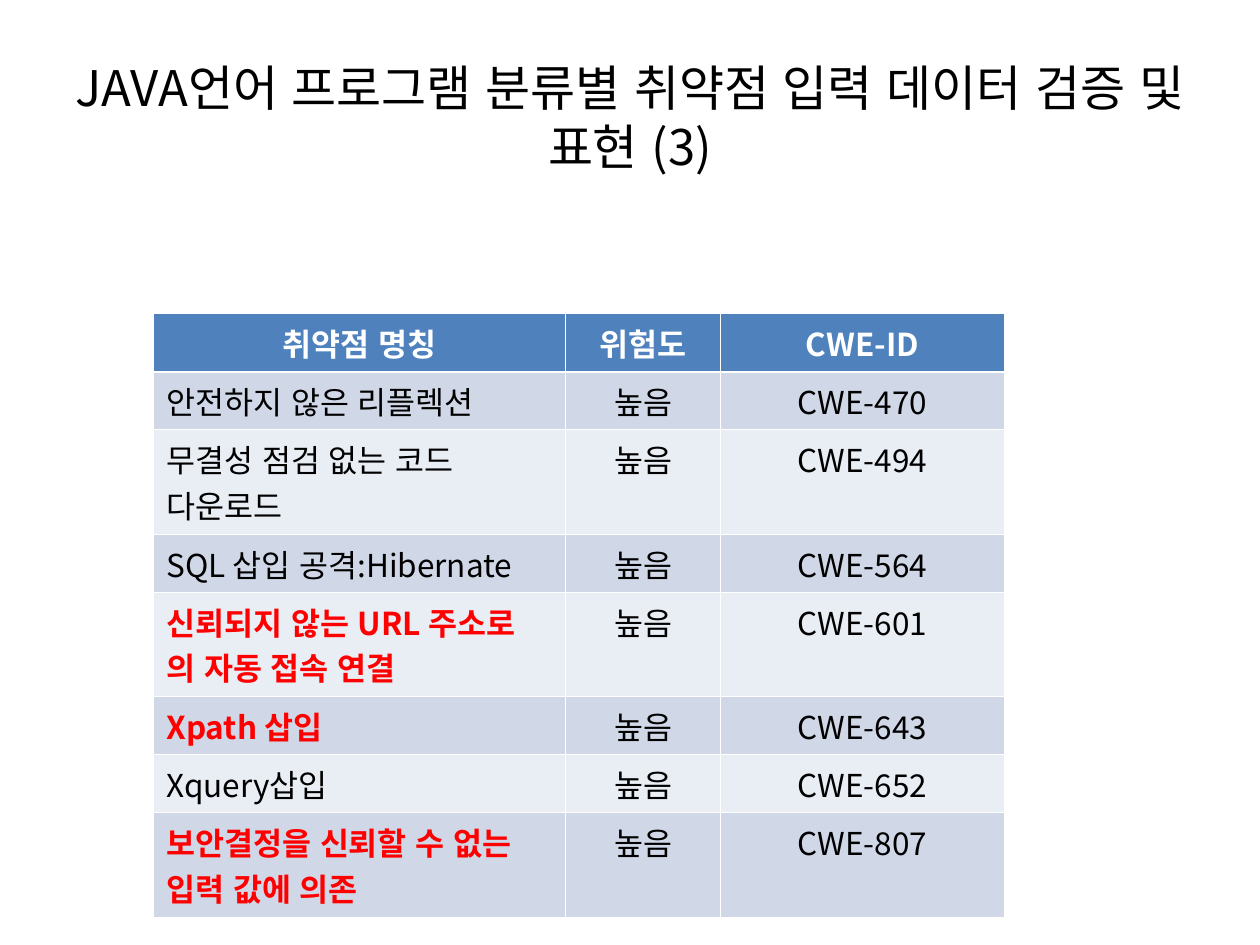
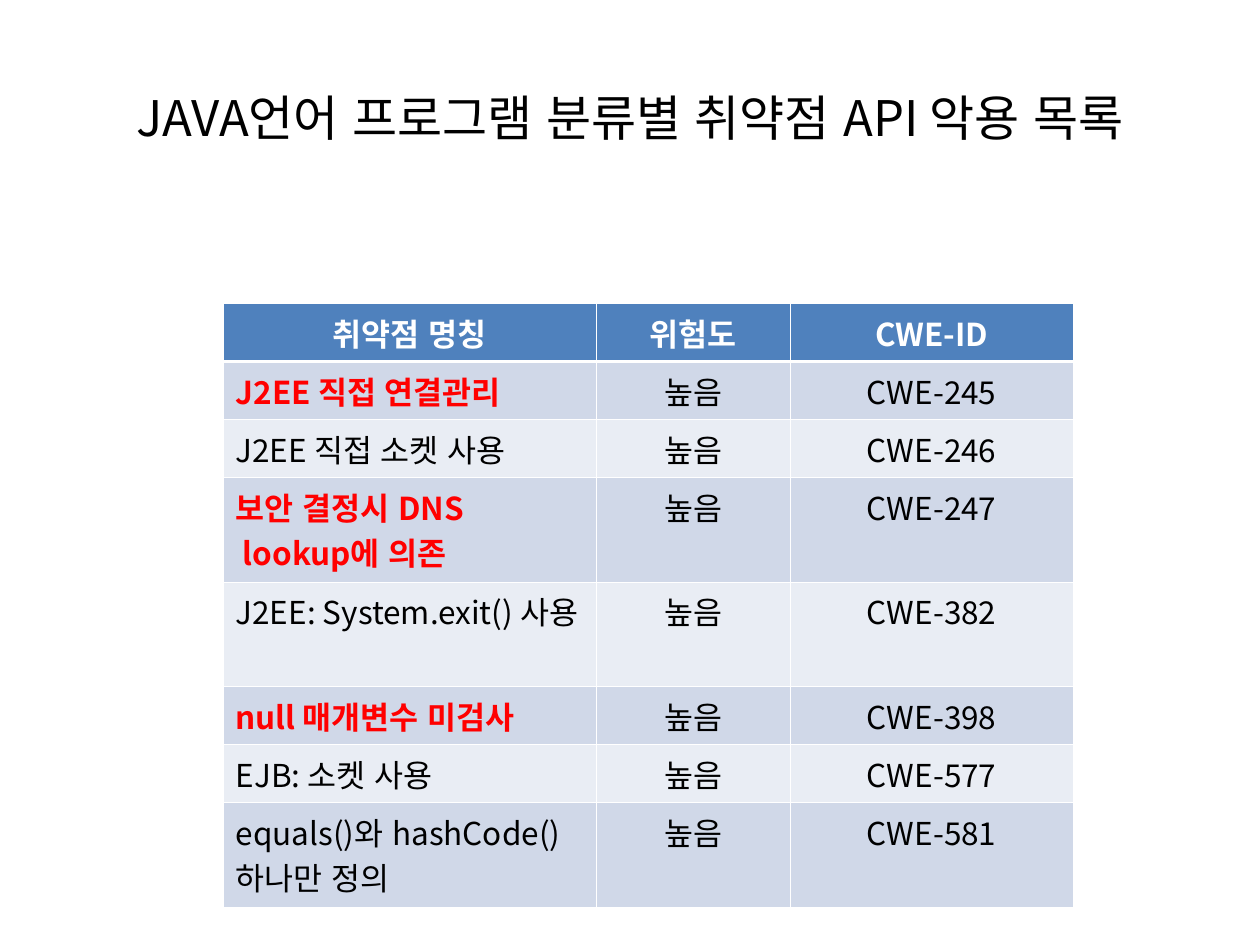
from lxml.etree import SubElement
from pptx import Presentation
from pptx.dml.color import RGBColor
from pptx.enum.lang import MSO_LANGUAGE_ID
from pptx.enum.text import MSO_ANCHOR, PP_ALIGN
from pptx.oxml.ns import qn
from pptx.util import Inches, Pt

# Shared style
FONT = "Noto Sans CJK KR"
BLACK = RGBColor(0x00, 0x00, 0x00)
WHITE = RGBColor(0xFF, 0xFF, 0xFF)
RED = RGBColor(0xFF, 0x00, 0x00)
HEADER_BLUE = RGBColor(0x4F, 0x81, 0xBD)
BAND_DARK = RGBColor(0xD0, 0xD8, 0xE8)
BAND_LIGHT = RGBColor(0xE9, 0xED, 0xF4)
THIN, THICK = Pt(0.45), Pt(1.47)
ONE_LINE, TWO_LINES = 0.46, 0.83
HEADERS = ("취약점 명칭", "위험도", "CWE-ID")
RISK = "높음"

# Each weakness: name, CWE number, row height, whether it is highlighted
PAGES = [
    {
        "title": "JAVA언어 프로그램 분류별 취약점 입력 데이터 검증 및 표현 (3)",
        "left": 1.22, "top": 2.49, "columns": (3.27, 1.23, 2.25),
        "weaknesses": [
            ("안전하지 않은 리플렉션", 470, ONE_LINE, False),
            ("무결성 점검 없는 코드\n다운로드", 494, TWO_LINES, False),
            ("SQL 삽입 공격:Hibernate", 564, ONE_LINE, False),
            ("신뢰되지 않는 URL 주소로\n의 자동 접속 연결", 601, TWO_LINES, True),
            ("Xpath 삽입", 643, ONE_LINE, True),
            ("Xquery삽입", 652, ONE_LINE, False),
            ("보안결정을 신뢰할 수 없는\n입력 값에 의존", 807, TWO_LINES, True),
        ],
    },
    {
        "title": "JAVA언어 프로그램 분류별 취약점 API 악용 목록",
        "left": 1.77, "top": 2.41, "columns": (2.96, 1.54, 2.25),
        "weaknesses": [
            ("J2EE 직접 연결관리", 245, ONE_LINE, True),
            ("J2EE 직접 소켓 사용", 246, ONE_LINE, False),
            ("보안 결정시 DNS\n lookup에 의존", 247, TWO_LINES, True),
            ("J2EE: System.exit() 사용", 382, TWO_LINES, False),
            ("null 매개변수 미검사", 398, ONE_LINE, True),
            ("EJB: 소켓 사용", 577, ONE_LINE, False),
            ("equals()와 hashCode()\n하나만 정의", 581, TWO_LINES, False),
        ],
    },
]


def write(frame, text, size, color, bold=False, align=PP_ALIGN.CENTER):
    frame.text = text
    for para in frame.paragraphs:
        para.alignment = align
        for span in para.runs:
            span.font.name = FONT
            span.font.size = Pt(size)
            span.font.bold = bold
            span.font.color.rgb = color
            span.font.language_id = MSO_LANGUAGE_ID.KOREAN
            SubElement(span.font._element, qn("a:ea"), typeface=FONT)


def draw_borders(cell, top, bottom):
    properties = cell._tc.get_or_add_tcPr()
    for side, width in (("L", THIN), ("R", THIN), ("T", top), ("B", bottom)):
        line = SubElement(properties, qn(f"a:ln{side}"), w=str(int(width)))
        fill = SubElement(line, qn("a:solidFill"))
        SubElement(fill, qn("a:srgbClr"), val=str(WHITE))


deck = Presentation()
deck.slide_width, deck.slide_height = Inches(10), Inches(7.5)

for content in PAGES:
    page = deck.slides.add_slide(deck.slide_layouts[6])

    # Title
    box = page.shapes.add_textbox(Inches(0.5), Inches(0.3), Inches(9), Inches(1.25))
    box.text_frame.word_wrap = True
    box.text_frame.vertical_anchor = MSO_ANCHOR.MIDDLE
    write(box.text_frame, content["title"], 28, BLACK)

    # Table grid
    weaknesses = content["weaknesses"]
    heights = [ONE_LINE] + [height for _, _, height, _ in weaknesses]
    table = page.shapes.add_table(
        len(heights), len(HEADERS), Inches(content["left"]), Inches(content["top"]),
        Inches(sum(content["columns"])), Inches(sum(heights))).table
    for column, width in zip(table.columns, content["columns"]):
        column.width = Inches(width)
    for row, height in zip(table.rows, heights):
        row.height = Inches(height)

    # Header row
    for cell, label in zip(table.rows[0].cells, HEADERS):
        write(cell.text_frame, label, 18, WHITE, bold=True)
        draw_borders(cell, THIN, THICK)
        cell.fill.solid()
        cell.fill.fore_color.rgb = HEADER_BLUE

    # Weakness rows in alternating bands
    for number, (name, cwe, _, highlighted) in enumerate(weaknesses, 1):
        name_cell, risk_cell, cwe_cell = table.rows[number].cells
        write(name_cell.text_frame, name, 18, RED if highlighted else BLACK,
              highlighted, PP_ALIGN.LEFT)
        write(risk_cell.text_frame, RISK, 18, BLACK)
        write(cwe_cell.text_frame, f"CWE-{cwe}", 18, BLACK)
        for cell in (name_cell, risk_cell, cwe_cell):
            draw_borders(cell, THICK if number == 1 else THIN, THIN)
            cell.fill.solid()
            cell.fill.fore_color.rgb = BAND_DARK if number % 2 else BAND_LIGHT

deck.save("out.pptx")
